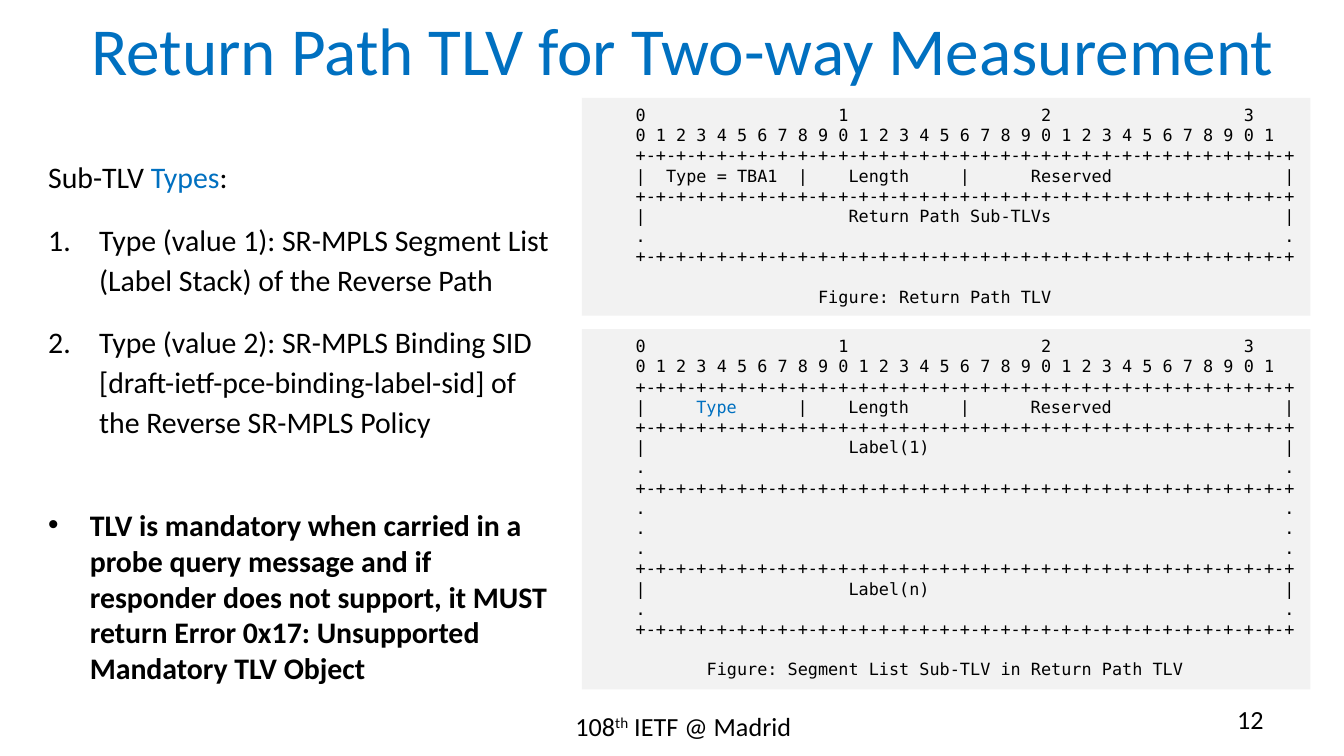
from dataclasses import dataclass

from lxml.etree import SubElement
from pptx import Presentation
from pptx.dml.color import RGBColor
from pptx.enum.shapes import MSO_SHAPE as Shape
from pptx.enum.text import MSO_ANCHOR as Anchor, PP_ALIGN as Align
from pptx.oxml.ns import qn
from pptx.util import Inches, Pt


@dataclass(frozen=True)
class Theme:
    ink: str = "000000"
    accent: str = "0070C0"
    panel: str = "F2F2F2"
    sans: str = "Calibri"
    mono: str = "DejaVu Sans Mono"
    title: int = 36
    body: int = 16
    footer: int = 14
    code: int = 9
    leading: float = 21.4
    gap: int = 12
    code_gap: float = 10.8


T = Theme()
WIDTH = Inches(10)
HEIGHT = WIDTH * 9 // 16
COLS = ROWS = 100
MARGIN = " " * 4
BORDER = "+-" * 32 + "+"


def place(col, row, cols, rows):
    return (int(WIDTH * col / COLS), int(HEIGHT * row / ROWS),
            int(WIDTH * cols / COLS), int(HEIGHT * rows / ROWS))


def add_run(p, text, size, color=T.ink, font=T.sans, bold=False, raised=False):
    r = p.add_run()
    r.text = text
    r.font.name, r.font.size, r.font.bold = font, Pt(size), bold
    r.font.color.rgb = RGBColor.from_string(color)
    if raised:
        r._r.get_or_add_rPr().set("baseline", "30000")


def paragraphs(tf):
    yield tf.paragraphs[0]
    while True:
        yield tf.add_paragraph()


def text_frame(s, box):
    tf = s.shapes.add_textbox(*place(*box)).text_frame
    tf.word_wrap = True
    return tf


def add_bullet(p, indent, tag, **attrs):
    pPr = p._p.get_or_add_pPr()
    pPr.set("marL", str(Inches(indent)))
    pPr.set("indent", str(-Inches(indent)))
    SubElement(pPr, qn("a:buFont"), typeface="Arial" if tag == "a:buChar" else "+mj-lt")
    SubElement(pPr, qn(tag), **attrs)


def add_title(s, box, text):
    tf = text_frame(s, box)
    tf.vertical_anchor = Anchor.MIDDLE
    p = tf.paragraphs[0]
    p.alignment = Align.CENTER
    add_run(p, text, T.title, T.accent)


def add_types(s, box, items):
    lines = paragraphs(text_frame(s, box))
    p = next(lines)
    p.line_spacing = Pt(T.leading)
    add_run(p, "Sub-TLV ", T.body)
    add_run(p, "Types", T.body, T.accent)
    add_run(p, ":", T.body)
    for item, p in zip(items, lines):
        add_bullet(p, 0.38, "a:buAutoNum", type="arabicPeriod")
        p.line_spacing = Pt(T.leading)
        p.space_before = Pt(T.gap)
        add_run(p, item, T.body)


def add_rule(s, box, text):
    p = text_frame(s, box).paragraphs[0]
    add_bullet(p, 0.31, "a:buChar", char="•")
    add_run(p, text, T.body, bold=True)


def packet_row(body="", edge="|"):
    return [(edge + body.ljust(63) + edge, T.ink)]


def add_packet(s, box, rows, caption):
    sp = s.shapes.add_shape(Shape.RECTANGLE, *place(*box))
    sp.shadow.inherit = False
    sp.fill.solid()
    sp.fill.fore_color.rgb = RGBColor.from_string(T.panel)
    sp.line.fill.background()
    tf = sp.text_frame
    tf.word_wrap = True
    tf.vertical_anchor = Anchor.TOP
    tens = "".join(str(n).ljust(20) for n in range(4)).rstrip()
    bits = " ".join(str(n % 10) for n in range(32))
    lines = paragraphs(tf)
    for row in [[(tens, T.ink)], [(bits, T.ink)], *rows]:
        p = next(lines)
        p.alignment = Align.LEFT
        add_run(p, MARGIN, T.code, font=T.mono)
        for text, color in row:
            add_run(p, text, T.code, color, T.mono)
    p = next(lines)
    p.alignment = Align.LEFT
    p.space_before = Pt(T.code_gap)
    add_run(p, caption, T.code, font=T.mono)


def add_footer(s, venue_box, number_box):
    p = text_frame(s, venue_box).paragraphs[0]
    p.alignment = Align.CENTER
    add_run(p, "108", T.footer)
    add_run(p, "th", T.footer, raised=True)
    add_run(p, " IETF @ Madrid", T.footer)
    p = text_frame(s, number_box).paragraphs[0]
    p.alignment = Align.RIGHT
    add_run(p, "12", T.footer)


def main():
    prs = Presentation()
    prs.slide_width, prs.slide_height = WIDTH, HEIGHT
    s = prs.slides.add_slide(prs.slide_layouts[6])
    border, dots = [(BORDER, T.ink)], packet_row(edge=".")
    fields = "|    Length     |      Reserved".ljust(48) + "|"
    label_col = " " * 20

    add_footer(s, (35, 93.06, 31.7, 6.94), (71.7, 92.17, 23.3, 6.94))
    add_packet(s, (43.3, 12.96, 54.2, 28.8), [
        border, [("|  Type = TBA1  " + fields, T.ink)],
        border, packet_row(label_col + "Return Path Sub-TLVs"), dots, border,
    ], " " * 22 + "Figure: Return Path TLV")
    add_title(s, (4.9, -1.96, 91.8, 16.71), "Return Path TLV for Two-way Measurement")
    add_types(s, (2.6, 19.62, 40.1, 38.93), [
        "Type (value 1): SR-MPLS Segment List (Label Stack) of the Reverse Path",
        "Type (value 2): SR-MPLS Binding SID [draft-ietf-pce-binding-label-sid] "
        "of the Reverse SR-MPLS Policy",
    ])
    add_rule(s, (2.6, 66.13, 40.1, 25.78),
             "TLV is mandatory when carried in a probe query message and if responder "
             "does not support, it MUST return Error 0x17: Unsupported Mandatory TLV Object")
    add_packet(s, (43.3, 43.54, 54.2, 47.64), [
        border, [("|     ", T.ink), ("Type", T.accent), (" " * 6 + fields, T.ink)],
        border, packet_row(label_col + "Label(1)"), dots,
        border, *[dots] * 3,
        border, packet_row(label_col + "Label(n)"), dots, border,
    ], " " * 11 + "Figure: Segment List Sub-TLV in Return Path TLV")
    prs.save("out.pptx")


if __name__ == "__main__":
    main()
